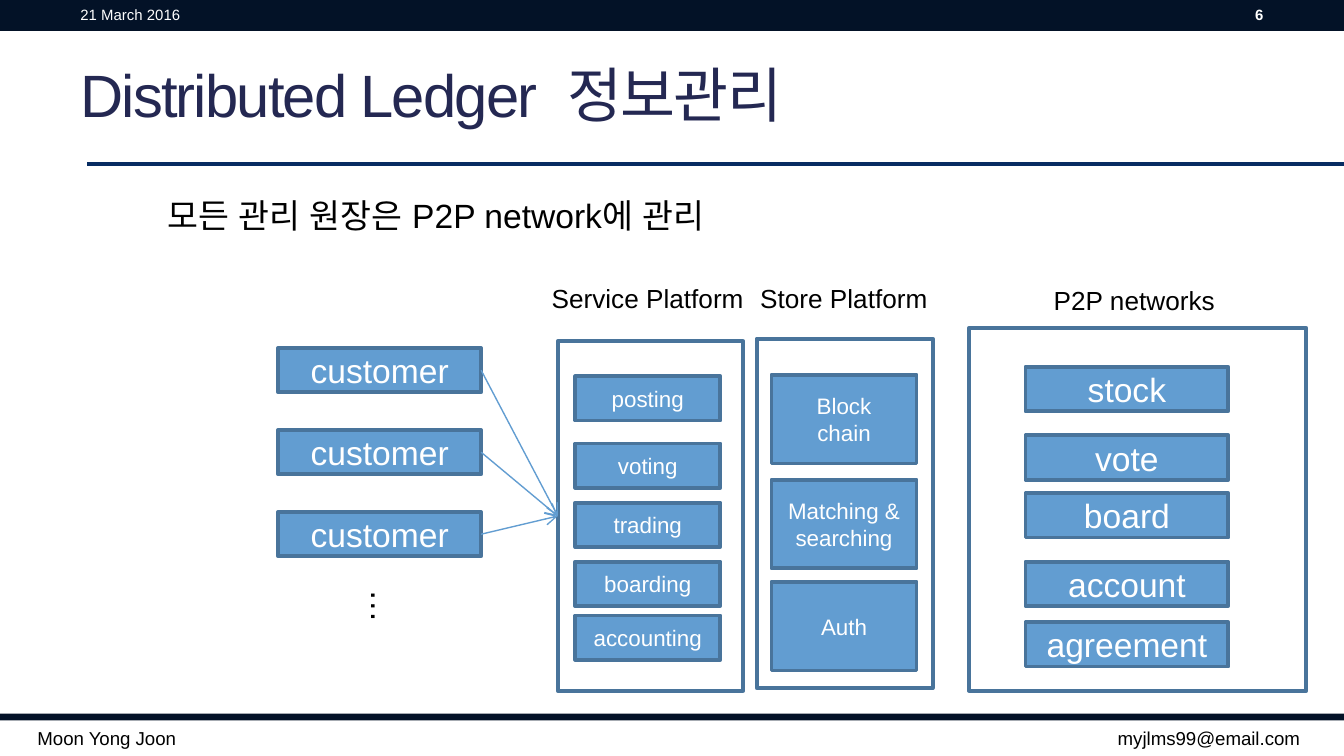
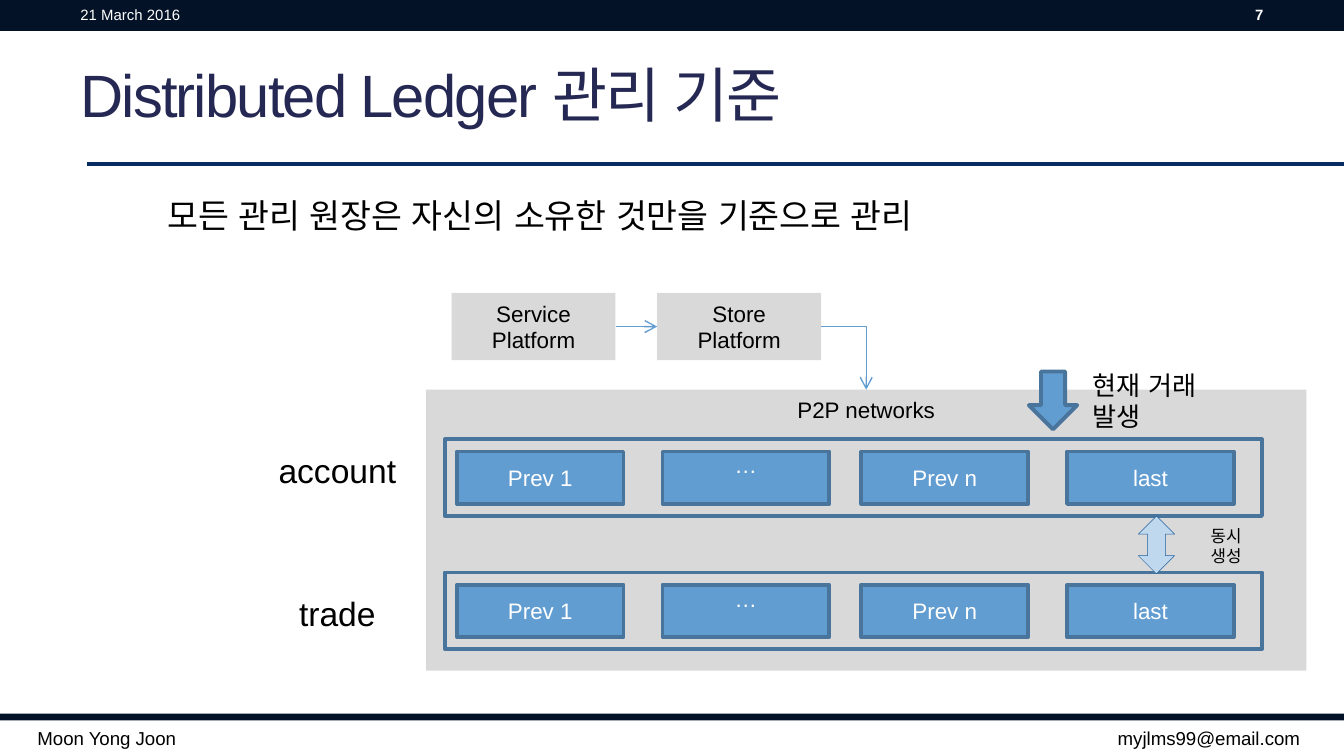
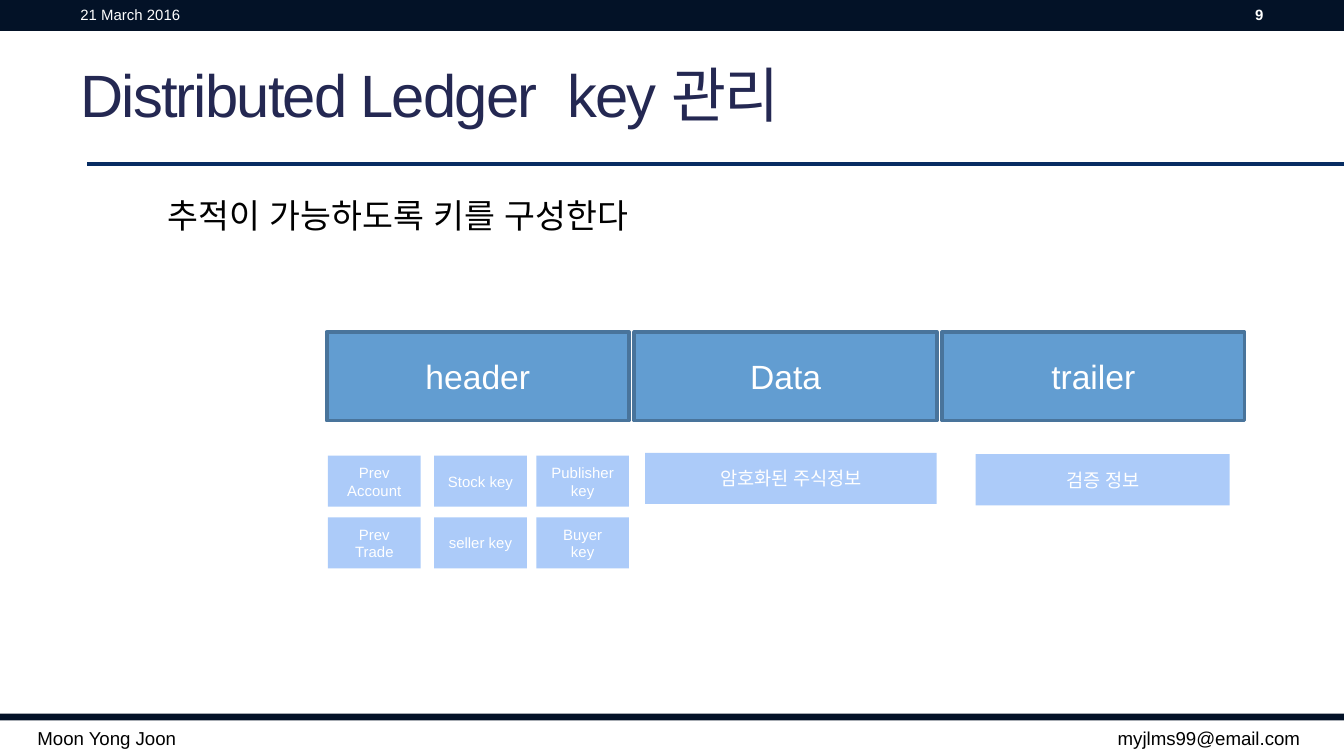
from dataclasses import dataclass, field

from pptx import Presentation
from pptx.dml.color import RGBColor
from pptx.enum.shapes import MSO_CONNECTOR as Connector, MSO_SHAPE as Preset
from pptx.enum.text import MSO_ANCHOR as Anchor, PP_ALIGN as Align
from pptx.oxml.ns import qn
from pptx.oxml.xmlchemy import OxmlElement
from pptx.presentation import Presentation as Deck
from pptx.shapes.autoshape import Shape
from pptx.shapes.connector import Connector as ConnectorShape
from pptx.slide import Slide
from pptx.util import Inches, Pt

TOP, LEFT, RIGHT = 0, 1, 3


@dataclass(frozen=True)
class Theme:
    font: str = "Arial"
    band: str = "031227"
    title: str = "242852"
    rule: str = "072C62"
    blue: str = "629DD1"
    outline: str = "49749B"
    pale: str = "ACCBF9"
    gray: str = "D9D9D9"
    arrow: str = "C0D8ED"
    arrow_edge: str = "1F5FA0"
    black: str = "000000"
    white: str = "FFFFFF"
    heading: float = 32
    body: float = 18
    label: float = 14
    small: float = 12
    footer: float = 10
    note: float = 9
    tiny: float = 8
    thick: float = 2.08
    thin: float = 0.75
    hairline: float = 0.25


THEME = Theme()


@dataclass(frozen=True)
class Style:
    size: float = THEME.body
    color: str = THEME.black
    bold: bool = False
    align: Align = Align.CENTER
    anchor: Anchor = Anchor.MIDDLE
    wrap: bool = True
    fill: str | None = None
    line: str | None = None
    weight: float = THEME.thick
    frame: dict = field(default_factory=dict)


@dataclass(frozen=True)
class Box:
    text: str
    left: float
    top: float
    width: float
    height: float


BLUE = {"color": THEME.white, "fill": THEME.blue, "line": THEME.outline}
BLUE_BODY = Style(**BLUE)
BLUE_SMALL = Style(THEME.small, **BLUE)
BLUE_RAISED = Style(THEME.small, anchor=Anchor.TOP, frame={"margin_top": 0}, **BLUE)
PALE_TINY = Style(THEME.tiny, THEME.white, fill=THEME.pale)
PALE_FOOTER = Style(THEME.footer, THEME.white, fill=THEME.pale)
GRAY = Style(THEME.small, fill=THEME.gray)
PANEL = Style(THEME.small, anchor=Anchor.TOP, fill=THEME.gray)
OUTLINE = Style(line=THEME.outline)
BAND = Style(fill=THEME.band)
SYNC_ARROW = Style(fill=THEME.arrow, line=THEME.arrow_edge, weight=THEME.hairline)
TITLE = Style(THEME.heading, THEME.title, align=Align.LEFT)
DATE = Style(THEME.tiny, THEME.white, align=Align.LEFT)
NUMBER = Style(THEME.tiny, THEME.white, bold=True, align=Align.RIGHT)
AUTHOR = Style(THEME.footer, align=Align.LEFT, anchor=Anchor.TOP, wrap=False)
EMAIL = Style(THEME.footer, align=Align.RIGHT, anchor=Anchor.TOP, wrap=False)
LEAD = Style(align=Align.LEFT, anchor=Anchor.TOP)
ROW_NAME = Style(anchor=Anchor.TOP)
COLUMN_NAME = Style(THEME.label, anchor=Anchor.TOP)
CALLOUT = Style(THEME.label, align=Align.LEFT, anchor=Anchor.TOP)
NOTE = Style(THEME.note, align=Align.LEFT, anchor=Anchor.TOP)


def set_all(target: object, values: dict) -> None:
    for name, value in values.items():
        setattr(target, name, value)


def rgb(color: str) -> RGBColor:
    return RGBColor.from_string(color)


def add_run(paragraph, text: str, style: Style, spacing: float = 0) -> None:
    run = paragraph.add_run()
    run.text = text
    set_all(run.font, {"name": THEME.font, "size": Pt(style.size), "bold": style.bold})
    run.font.color.rgb = rgb(style.color)
    east_asian = OxmlElement("a:ea")
    east_asian.set("typeface", THEME.font)
    run.font._element.append(east_asian)
    if spacing:
        run.font._element.set("spc", str(int(spacing * 100)))


def write(shape: Shape, text: str, style: Style) -> None:
    text_frame = shape.text_frame
    set_all(text_frame, {
        "word_wrap": style.wrap, "vertical_anchor": style.anchor, **style.frame,
    })
    for index, line in enumerate(text.split("\n")):
        paragraph = text_frame.add_paragraph() if index else text_frame.paragraphs[0]
        paragraph.alignment = style.align
        if line:
            add_run(paragraph, line, style)


def place(box: Box) -> tuple:
    return tuple(map(Inches, (box.left, box.top, box.width, box.height)))


def add_label(slide: Slide, box: Box, style: Style) -> Shape:
    shape = slide.shapes.add_textbox(*place(box))
    write(shape, box.text, style)
    return shape


def add_box(slide: Slide, box: Box, style: Style,
            preset: Preset = Preset.RECTANGLE) -> Shape:
    shape = slide.shapes.add_shape(preset, *place(box))
    shape.shadow.inherit = False
    if style.fill:
        shape.fill.solid()
        shape.fill.fore_color.rgb = rgb(style.fill)
    else:
        shape.fill.background()
    if style.line:
        shape.line.color.rgb = rgb(style.line)
        shape.line.width = Pt(style.weight)
    else:
        shape.line.fill.background()
    write(shape, box.text, style)
    return shape


def add_line(slide: Slide, color: str, weight: float, ends: tuple = (0, 0, 0, 0),
             kind: Connector = Connector.STRAIGHT) -> ConnectorShape:
    line = slide.shapes.add_connector(kind, *map(Inches, ends))
    line.line.color.rgb = rgb(color)
    line.line.width = Pt(weight)
    line._element.spPr.append(OxmlElement("a:effectLst"))
    return line


def add_arrow(slide: Slide, start: Shape, start_side: int, end: Shape, end_side: int,
              kind: Connector = Connector.STRAIGHT) -> ConnectorShape:
    arrow = add_line(slide, THEME.blue, THEME.thin, kind=kind)
    arrow.begin_connect(start, start_side)
    arrow.end_connect(end, end_side)
    tail = OxmlElement("a:tailEnd")
    tail.set("type", "arrow")
    arrow.line._get_or_add_ln().append(tail)
    return arrow


def add_base(presentation: Deck, number: int, topic: str, lead: str,
             wide_gap: bool = False) -> Slide:
    slide = presentation.slides.add_slide(presentation.slide_layouts[6])
    add_box(slide, Box("", 0, 0, 10, 0.23), BAND)
    add_box(slide, Box("", 0, 5.31, 10, 0.05), BAND)
    title = add_label(slide, Box("", 0.5, 0.29, 9, 0.81), TITLE).text_frame.paragraphs[0]
    for text, spacing in (("Distributed Ledger", -1), (" ", 7 if wide_gap else -1), (topic, -1)):
        add_run(title, text, TITLE, spacing)
    add_label(slide, Box("21 March 2016", 0.5, 0.05, 3.17, 0.11), DATE)
    add_label(slide, Box(str(number), 8.33, 0.05, 1.17, 0.11), NUMBER)
    add_label(slide, Box("Moon Yong Joon", 0.18, 5.36, 1.25, 0.27), AUTHOR)
    add_label(slide, Box("myjlms99@email.com", 8.2, 5.36, 1.57, 0.27), EMAIL)
    add_line(slide, THEME.rule, THEME.thick, (0.65, 1.22, 10, 1.22))
    add_label(slide, Box(lead, 1.15, 1.4, 7.59, 0.4), LEAD)
    return slide


def build_information(presentation: Deck) -> None:
    slide = add_base(presentation, 6, "정보관리", "모든 관리 원장은 P2P network에 관리", True)
    service, *_ = [add_box(slide, frame, OUTLINE) for frame in (
        Box("", 4.15, 2.54, 1.38, 2.6),
        Box("", 5.63, 2.52, 1.31, 2.6),
        Box("", 7.21, 2.44, 2.51, 2.7),
    )]
    for name in (
        Box("Service Platform", 4, 2.05, 1.64, 0.39),
        Box("Store Platform", 5.46, 2.05, 1.64, 0.39),
        Box("P2P networks", 7.62, 2.07, 1.64, 0.28),
    ):
        add_label(slide, name, COLUMN_NAME)

    services = {"posting": 2.8, "voting": 3.3, "trading": 3.74, "boarding": 4.18,
                "accounting": 4.58}
    stores = {"Block\nchain": 2.79, "Matching & searching": 3.57, "Auth": 4.33}
    ledgers = {"stock": 2.73, "vote": 3.24, "board": 3.67, "account": 4.18,
               "agreement": 4.63}
    for tops, left, width, height, style in (
        (services, 4.28, 1.08, 0.33, BLUE_SMALL),
        (stores, 5.74, 1.08, 0.66, BLUE_SMALL),
        (ledgers, 7.63, 1.51, 0.33, BLUE_BODY),
    ):
        for text, top in tops.items():
            add_box(slide, Box(text, left, top, width, height), style)

    for row in range(3):
        customer = add_box(slide, Box("customer", 2.07, 2.59 + 0.61 * row, 1.51, 0.33), BLUE_BODY)
        add_arrow(slide, customer, RIGHT, service, LEFT)
    more = add_label(slide, Box("…", 2.59, 4.29, 0.47, 0.69), LEAD)
    more.text_frame._txBody.find(qn("a:bodyPr")).set("vert", "eaVert")


def build_criteria(presentation: Deck) -> None:
    slide = add_base(presentation, 7, "관리 기준",
                     "모든 관리 원장은 자신의 소유한 것만을 기준으로 관리")
    panel = add_box(slide, Box("P2P networks", 3.17, 2.9, 6.55, 2.09), PANEL)
    service, store = [
        add_box(slide, Box(f"{name}\nPlatform", left, 2.18, 1.22, 0.5), GRAY)
        for name, left in (("Service", 3.36), ("Store", 4.89))
    ]
    add_arrow(slide, service, RIGHT, store, LEFT)
    elbow = add_arrow(slide, store, RIGHT, panel, TOP, Connector.ELBOW)
    elbow._element.spPr.find(qn("a:prstGeom")).set("prst", "bentConnector2")

    blocks = {"Prev 1": 3.4, "…": 4.93, "Prev n": 6.41, "last": 7.94}
    for name, frame_top, name_top in (("account", 3.27, 3.3), ("trade", 4.26, 4.36)):
        add_box(slide, Box("", 3.31, frame_top, 6.08, 0.57), OUTLINE)
        add_label(slide, Box(name, 1.85, name_top, 1.32, 0.4), ROW_NAME)
        for text, left in blocks.items():
            style = BLUE_RAISED if text == "…" else BLUE_SMALL
            add_box(slide, Box(text, left, frame_top + 0.09, 1.24, 0.39), style)

    current = add_box(slide, Box("", 7.62, 2.8, 0.43, 0.36), BLUE_BODY, Preset.RIGHT_ARROW)
    current.rotation = 90
    add_label(slide, Box("현재 거래 발생", 8.03, 2.7, 1.06, 0.57), CALLOUT)
    sync = add_box(slide, Box("", 8.47, 3.84, 0.27, 0.43), SYNC_ARROW, Preset.UP_DOWN_ARROW)
    for index, value in enumerate((0.45, 0.49)):
        sync.adjustments[index] = value
    add_label(slide, Box("동시생성", 8.91, 3.86, 0.48, 0.4), NOTE)


def build_key(presentation: Deck) -> None:
    slide = add_base(presentation, 9, "key 관리", "추적이 가능하도록 키를 구성한다", True)
    for column, part in enumerate(("header", "Data", "trailer")):
        add_box(slide, Box(part, 2.43 + 2.29 * column, 2.47, 2.25, 0.66), BLUE_BODY)
    keys = (("Prev\nAccount", "Stock key", "Publisher key"),
            ("Prev Trade", "seller key", "Buyer key"))
    for row, names in enumerate(keys):
        for name, left in zip(names, (2.44, 3.23, 3.99)):
            add_box(slide, Box(name, left, 3.39 + 0.46 * row, 0.69, 0.38), PALE_TINY)
    add_box(slide, Box("암호화된 주식정보", 4.8, 3.37, 2.17, 0.38), PALE_FOOTER)
    add_box(slide, Box("검증 정보", 7.26, 3.38, 1.89, 0.38), PALE_FOOTER)


def main() -> None:
    presentation = Presentation()
    set_all(presentation, {"slide_width": Inches(10), "slide_height": Inches(5.625)})
    for build in (build_information, build_criteria, build_key):
        build(presentation)
    presentation.save("out.pptx")


if __name__ == "__main__":
    main()
